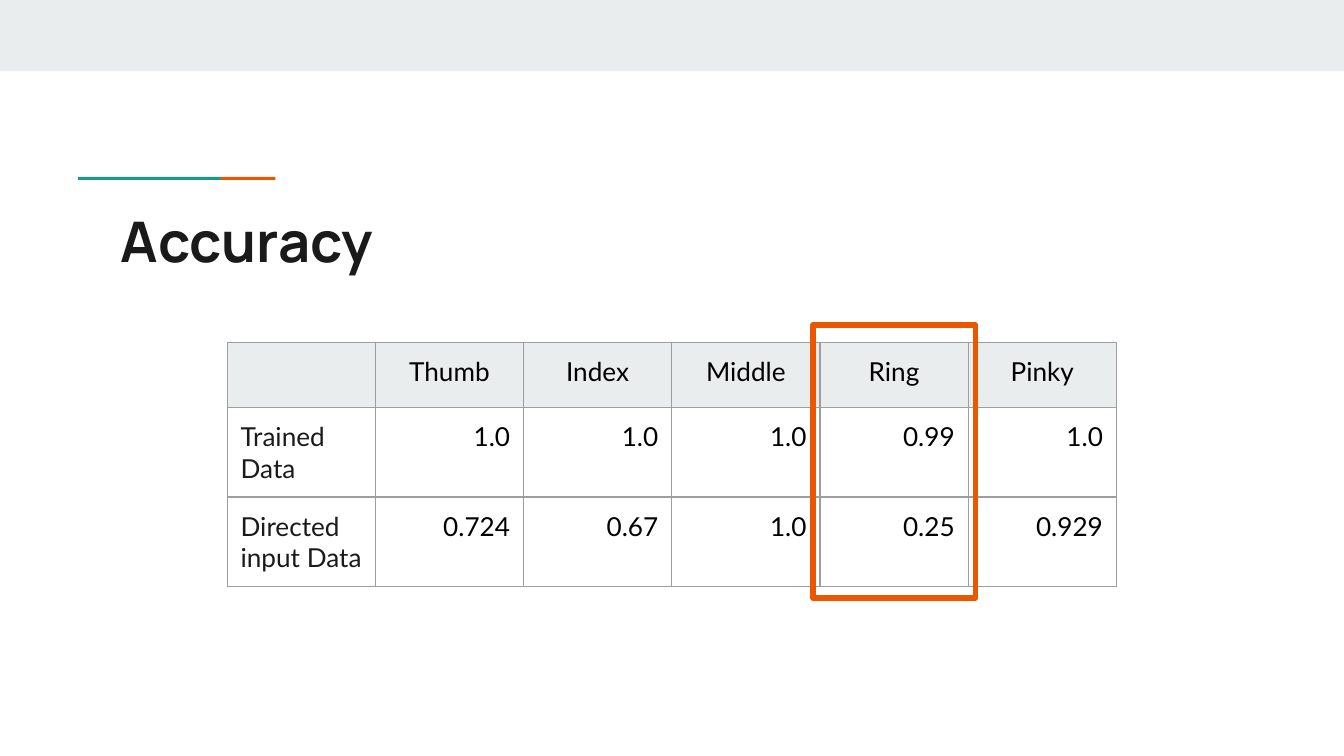
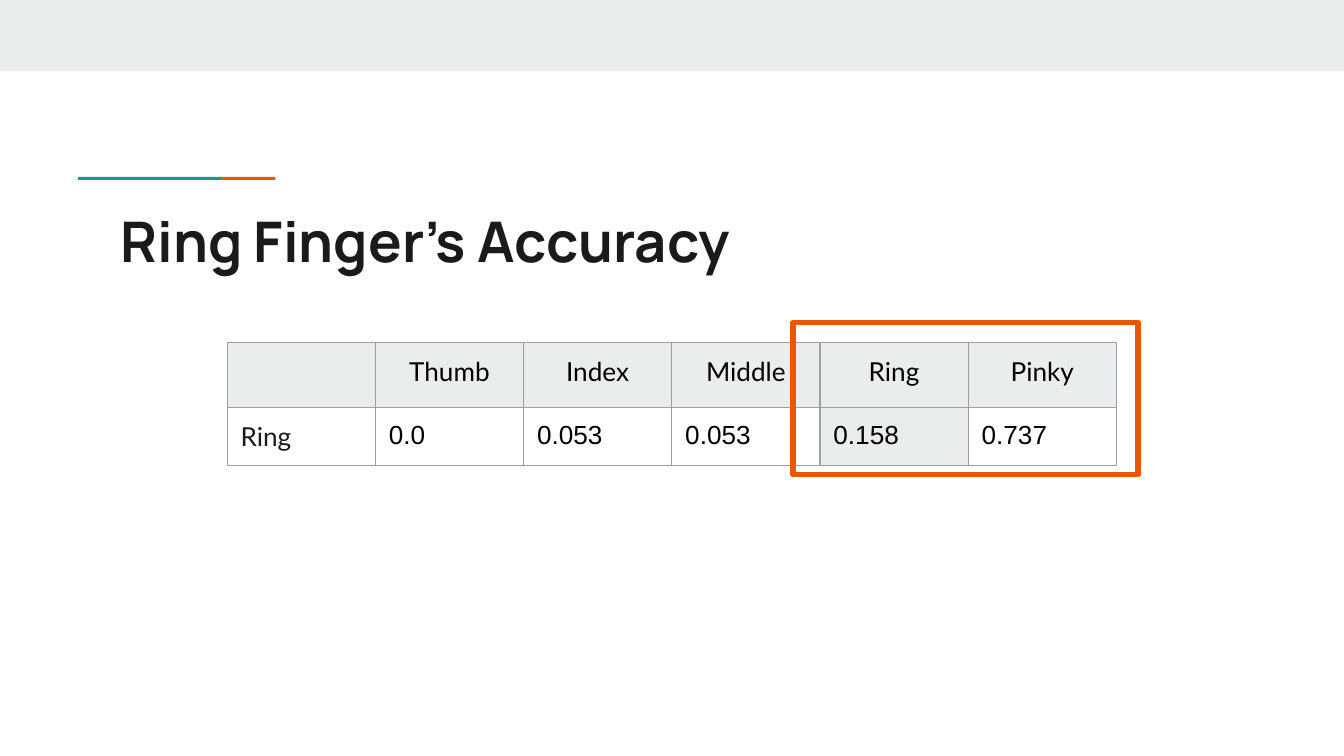
from pptx import Presentation
from pptx.util import Pt
from pptx.dml.color import RGBColor
from pptx.enum.shapes import MSO_SHAPE
from pptx.enum.text import PP_ALIGN
from lxml.etree import SubElement
from pptx.oxml.ns import qn

HUE = {"band": "E9EDEE", "teal": "1A9988", "orange": "EB5600", "ink": "1A1A1A",
       "black": "000000", "white": "FFFFFF", "grid": "9E9E9E"}
PAD = Pt(7.2)
HEAD = ["", "Thumb", "Index", "Middle", "Ring", "Pinky"]

# Each slide: title, body rows, row height, value font and alignment,
# shaded body cells, frame box
SLIDES = [
    ("Accuracy",
     [["Trained Data", "1.0", "1.0", "1.0", "0.99", "1.0"],
      ["Directed input Data", "0.724", "0.67", "1.0", "0.25", "0.929"]],
     48, "Lato", PP_ALIGN.RIGHT, [], (435.6, 174.2, 87.1, 146.2)),
    ("Ring Finger’s Accuracy",
     [["Ring", "0.0", "0.053", "0.053", "0.158", "0.737"]],
     31.2, "Arial", PP_ALIGN.LEFT, [(1, 4)], (424.8, 172.8, 185, 81.4)),
]


def add_box(slide, box, fill=None, line=None):
    shape = slide.shapes.add_shape(MSO_SHAPE.RECTANGLE, *map(Pt, box))
    shape.shadow.inherit = False
    if fill:
        shape.fill.solid()
        shape.fill.fore_color.rgb = RGBColor.from_string(HUE[fill])
    else:
        shape.fill.background()
    if line:
        shape.line.color.rgb = RGBColor.from_string(HUE[line])
        shape.line.width = Pt(3)
        SubElement(shape.line._get_or_add_ln(), qn("a:round"))
    else:
        shape.line.fill.background()


def set_text(frame, text, font, size, hue, bold=False, align=PP_ALIGN.LEFT):
    frame.margin_left = frame.margin_right = PAD
    frame.margin_top = frame.margin_bottom = PAD
    frame.word_wrap = True
    para = frame.paragraphs[0]
    para.text = text
    para.alignment = align
    para.font.name = font
    para.font.size = Pt(size)
    para.font.bold = bold
    para.font.color.rgb = RGBColor.from_string(HUE[hue])


deck = Presentation()
deck.slide_width, deck.slide_height = Pt(720), Pt(405)

for title, body, height, font, align, shaded, frame in SLIDES:
    slide = deck.slides.add_slide(deck.slide_layouts[6])

    # Top band and two-colour rule
    add_box(slide, (0, 0, 720, 38.2), "band")
    add_box(slide, (118.4, 94.8, 29.2, 1.6), "orange")
    add_box(slide, (41.8, 94.8, 76.6, 1.6), "teal")

    # Title
    label = slide.shapes.add_textbox(Pt(57.6), Pt(103.7), Pt(605.5), Pt(42.5))
    set_text(label.text_frame, title, "Manrope", 30, "ink", bold=True)

    # Table
    rows = [HEAD] + body
    tall = 34.8 + height * len(body)
    table = slide.shapes.add_table(len(rows), len(HEAD), Pt(121.7), Pt(183.5),
                                   Pt(476.4), Pt(tall)).table
    table.first_row = table.horz_banding = False
    for col in table.columns:
        col.width = Pt(79.4)
    for r, row in enumerate(rows):
        table.rows[r].height = Pt(height if r else 34.8)
        for c, text in enumerate(row):
            cell = table.cell(r, c)
            side = PP_ALIGN.CENTER if r == 0 else align if c else PP_ALIGN.LEFT
            set_text(cell.text_frame, text, font if r and c else "Lato", 14,
                     "ink" if r and c == 0 else "black", align=side)
            cell.margin_left = cell.margin_right = PAD
            cell.margin_top = cell.margin_bottom = PAD
            # Borders come before the fill in the cell properties
            props = cell._tc.get_or_add_tcPr()
            for tag in ("a:lnL", "a:lnR", "a:lnT", "a:lnB"):
                edge = SubElement(props, qn(tag), w=str(Pt(0.75)))
                paint = SubElement(edge, qn("a:solidFill"))
                SubElement(paint, qn("a:srgbClr"), val=HUE["grid"])
            if r and c and (r, c) not in shaded:
                cell.fill.background()
            else:
                hue = "white" if r and c == 0 else "band"
                cell.fill.solid()
                cell.fill.fore_color.rgb = RGBColor.from_string(HUE[hue])

    # Highlight frame
    add_box(slide, frame, line="orange")

deck.save("out.pptx")
